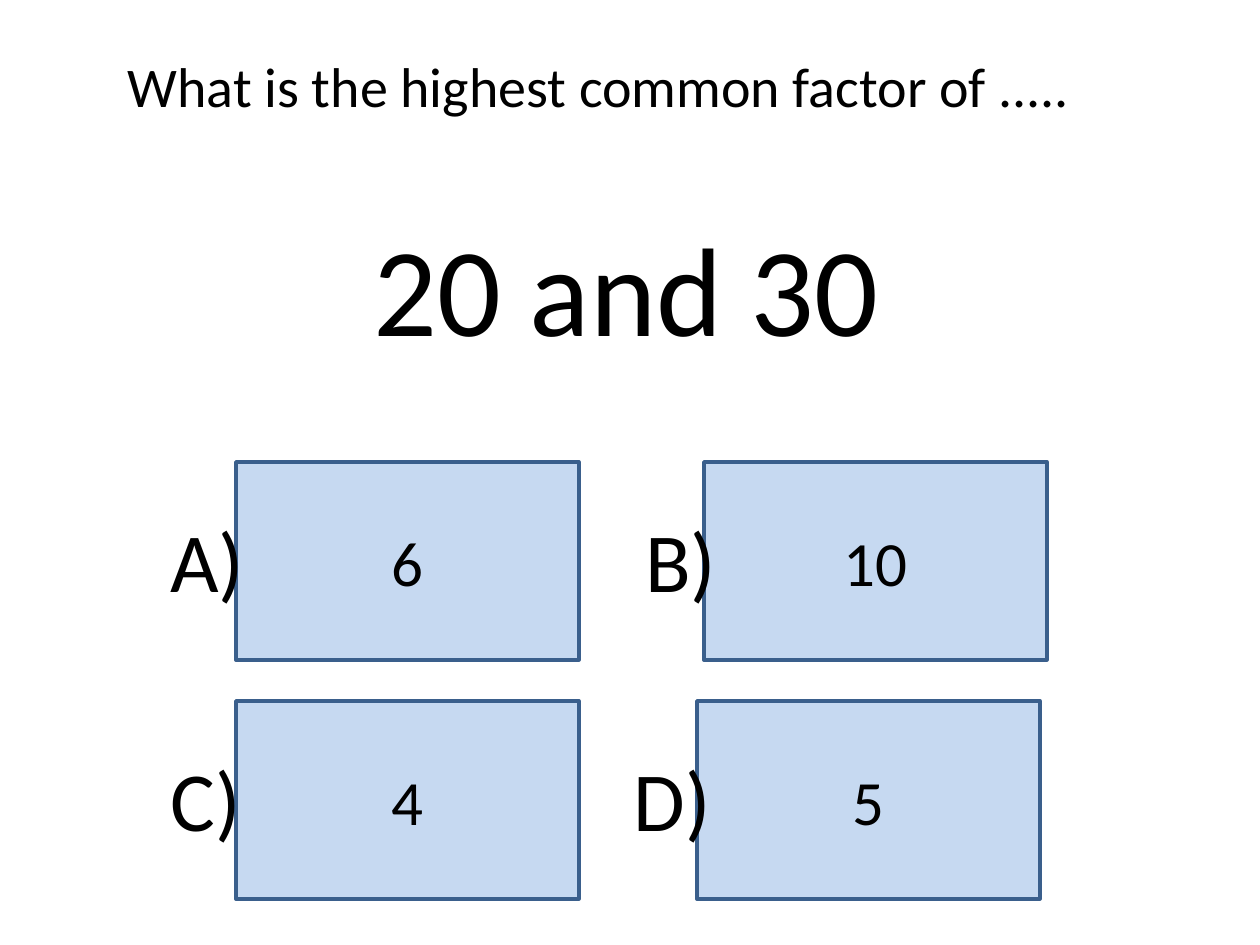
from dataclasses import dataclass

from pptx import Presentation
from pptx.dml.color import RGBColor
from pptx.enum.shapes import MSO_SHAPE
from pptx.enum.text import MSO_ANCHOR, MSO_AUTO_SIZE, PP_ALIGN
from pptx.util import Emu, Pt

QUESTION = "What is the highest common factor of ....."
NUMBERS = "20 and 30"
# label, answer, row, label left, box left
ANSWERS = [
    ("A)", "6", 0, 158, 236),
    ("B)", "10", 0, 633, 704),
    ("C)", "4", 1, 158, 236),
    ("D)", "5", 1, 621, 697),
]
SLIDE_W, SLIDE_H = 1260, 945
BOX_W, BOX_H = 343, 198
FIRST_ROW, ROW_STEP = 462, 239
LABEL_W, LABEL_H, LABEL_DROP = 100, 115, 40


@dataclass(frozen=True)
class Theme:
    font: str = "Calibri"
    ink: RGBColor = RGBColor(0x00, 0x00, 0x00)
    fill: RGBColor = RGBColor(0xC6, 0xD9, 0xF1)
    border: RGBColor = RGBColor(0x3A, 0x5F, 0x8C)
    border_width: int = 2
    question: int = 32
    numbers: int = 72
    label: int = 48
    answer: int = 36


THEME = Theme()


def px(n):
    return Emu(round(n * 914400 / 126))


def write(s, text, size, align=PP_ALIGN.LEFT, anchor=MSO_ANCHOR.TOP, wrap=True):
    tf = s.text_frame
    tf.auto_size = MSO_AUTO_SIZE.NONE
    tf.word_wrap = wrap
    tf.vertical_anchor = anchor
    p = tf.paragraphs[0]
    p.alignment = align
    r = p.add_run()
    r.text = text
    r.font.name = THEME.font
    r.font.size = Pt(size)
    r.font.color.rgb = THEME.ink


def add_text(slide, box, *args, **kwargs):
    write(slide.shapes.add_textbox(*map(px, box)), *args, **kwargs)


def add_answer_box(slide, left, top, text):
    s = slide.shapes.add_shape(MSO_SHAPE.RECTANGLE, *map(px, (left, top, BOX_W, BOX_H)))
    s.shadow.inherit = False
    s.fill.solid()
    s.fill.fore_color.rgb = THEME.fill
    s.line.color.rgb = THEME.border
    s.line.width = Pt(THEME.border_width)
    write(s, text, THEME.answer, PP_ALIGN.CENTER, MSO_ANCHOR.MIDDLE)


def main():
    prs = Presentation()
    prs.slide_width, prs.slide_height = px(SLIDE_W), px(SLIDE_H)
    slide = prs.slides.add_slide(prs.slide_layouts[5])

    title = slide.shapes.title
    title.left, title.top, title.width, title.height = map(px, (115, 45, 1081, 81))
    write(title, QUESTION, THEME.question)
    add_text(slide, (310, 204, 633, 165), NUMBERS, THEME.numbers, PP_ALIGN.CENTER)

    for label, answer, row, label_left, box_left in ANSWERS:
        top = FIRST_ROW + row * ROW_STEP
        add_answer_box(slide, box_left, top, answer)
        add_text(slide, (label_left, top + LABEL_DROP, LABEL_W, LABEL_H),
                 label, THEME.label, wrap=False)

    prs.save("out.pptx")


if __name__ == "__main__":
    main()
